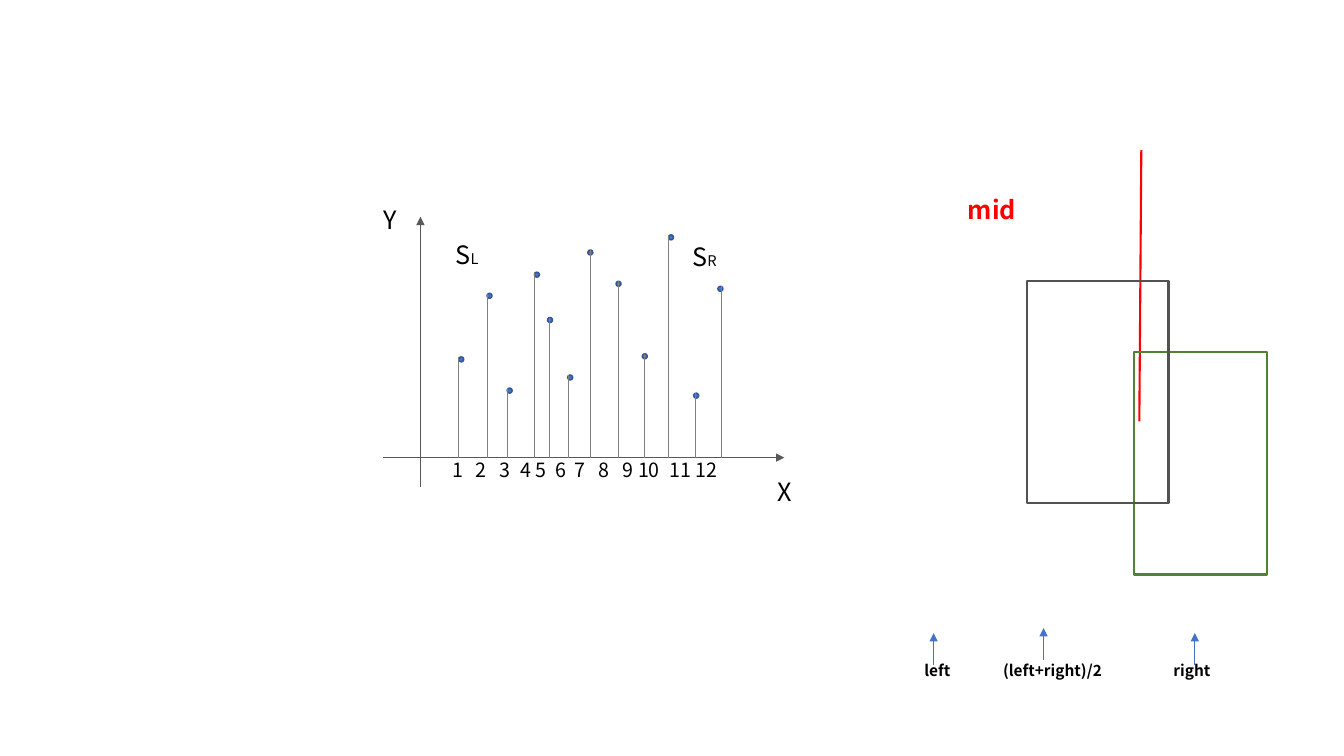
from pptx import Presentation
from pptx.dml.color import RGBColor
from pptx.enum.shapes import MSO_CONNECTOR, MSO_SHAPE
from pptx.oxml.ns import qn
from pptx.util import Inches, Pt
from lxml.etree import SubElement

CELL = Inches(1)
FONT = "Noto Sans CJK SC"
COLORS = {
    "text": "000000", "mid": "FF0000", "pointer": "4472C4", "dot_edge": "325491",
    "axis": "595959", "stem": "808080", "left_box": "525252", "right_box": "548235",
}
AXIS_ROW = 4.54
DOT_SIZE = 0.05
# Each point gives dot column, dot row and stem column.
POINTS = [
    (4.55, 3.54, 4.55), (4.83, 2.91, 4.83), (5.03, 3.85, 5.03), (5.3, 2.7, 5.3),
    (5.43, 3.15, 5.45), (5.63, 3.72, 5.64), (5.83, 2.48, 5.86), (6.11, 2.79, 6.13),
    (6.37, 3.51, 6.39), (6.63, 2.33, 6.63), (6.88, 3.9, 6.9), (7.12, 2.84, 7.15),
]
NUMBER_STOPS = [0.23, 0.47, 0.67, 0.82, 1.02, 1.21, 1.45, 1.69, 1.84, 2.15, 2.41]
POINTERS = [
    ("left", 9.07, 0.6, 9.26, 6.6),
    ("right", 11.54, 0.79, 11.85, 6.6),
    ("(left+right)/2", 9.85, 1.39, 10.35, 6.55),
]
POINTER_LENGTH = 0.32


def cells(*counts):
    """Turn grid columns or rows into slide lengths."""
    return [int(count * CELL) for count in counts]


def rgb(name):
    """Look up a named colour."""
    return RGBColor.from_string(COLORS[name])


def add_line(shapes, start, end, color, width, arrow=False):
    """Draw a straight line, with an arrowhead at its end if asked."""
    line = shapes.add_connector(MSO_CONNECTOR.STRAIGHT, *cells(*start, *end))
    line.line.color.rgb = rgb(color)
    line.line.width = Pt(width)
    properties = line._element.spPr
    if arrow:
        SubElement(properties.find(qn("a:ln")), qn("a:tailEnd"), type="triangle")
    SubElement(properties, qn("a:effectLst"))


def add_outline(shapes, preset, box, color, width, fill=None):
    """Draw a preset shape, hollow unless a fill is named."""
    outline = shapes.add_shape(preset, *cells(*box))
    outline.shadow.inherit = False
    outline.line.color.rgb = rgb(color)
    outline.line.width = Pt(width)
    if fill:
        outline.fill.solid()
        outline.fill.fore_color.rgb = rgb(fill)
    else:
        outline.fill.background()


def add_label(shapes, box, pieces, color="text", bold=False):
    """Write (text, size) pieces on one line and return the paragraph."""
    frame = shapes.add_textbox(*cells(*box)).text_frame
    frame.word_wrap = True
    paragraph = frame.paragraphs[0]
    for text, size in pieces:
        run = paragraph.add_run()
        run.text = text
        run.font.name = FONT
        run.font.size = Pt(size)
        run.font.bold = bold
        run.font.color.rgb = rgb(color)
    return paragraph


def add_tab_stops(paragraph, stops):
    """Set left tab stops in a paragraph."""
    tabs = SubElement(paragraph._p.get_or_add_pPr(), qn("a:tabLst"))
    for stop in cells(*stops):
        SubElement(tabs, qn("a:tab"), pos=str(stop), algn="l")


def add_plot(shapes):
    """Draw the axes, the numbered points and the two set names."""
    add_line(shapes, (4.17, 4.83), (4.17, 2.15), "axis", 1, arrow=True)
    add_line(shapes, (3.8, AXIS_ROW), (7.78, AXIS_ROW), "axis", 1, arrow=True)
    add_label(shapes, (7.61, 4.68, 0.73, 0.4), [("X", 18)])
    add_label(shapes, (3.71, 1.98, 0.73, 0.4), [("Y", 18)])
    for column, row, _ in POINTS:
        add_outline(shapes, MSO_SHAPE.OVAL, (column, row, DOT_SIZE, DOT_SIZE),
                    "dot_edge", 1, fill="pointer")
    for _, row, stem in POINTS:
        add_line(shapes, (stem, row), (stem, AXIS_ROW), "stem", 0.5)
    numbers = "\t".join(str(n) for n in range(1, len(POINTS) + 1))
    add_tab_stops(add_label(shapes, (4.39, 4.49, 3.58, 0.34), [(numbers, 14)]),
                  NUMBER_STOPS)
    for subscript, column, row in (("L", 4.42, 2.33), ("R", 6.77, 2.34)):
        add_label(shapes, (column, row, 0.56, 0.4), [("S", 18), (subscript, 10.5)])


def main():
    """Build and save the slide."""
    deck = Presentation()
    deck.slide_width, deck.slide_height = cells(13.33, 7.5)
    shapes = deck.slides.add_slide(deck.slide_layouts[6]).shapes
    for name, left, width, column, row in POINTERS:
        add_line(shapes, (column, row), (column, row - POINTER_LENGTH),
                 "pointer", 0.5, arrow=True)
        add_label(shapes, (left, 6.51, width, 0.29), [(name, 11)], bold=True)
    add_line(shapes, (11.32, 1.49), (11.3, 4.18), "mid", 1.5)
    add_outline(shapes, MSO_SHAPE.RECTANGLE, (11.25, 3.49, 1.32, 2.21), "right_box", 1.5)
    add_outline(shapes, MSO_SHAPE.RECTANGLE, (10.19, 2.79, 1.4, 2.2), "left_box", 1.5)
    add_plot(shapes.add_group_shape().shapes)
    add_label(shapes, (9.5, 1.88, 0.89, 0.4), [("mid", 18)], color="mid", bold=True)
    deck.save("out.pptx")


if __name__ == "__main__":
    main()
